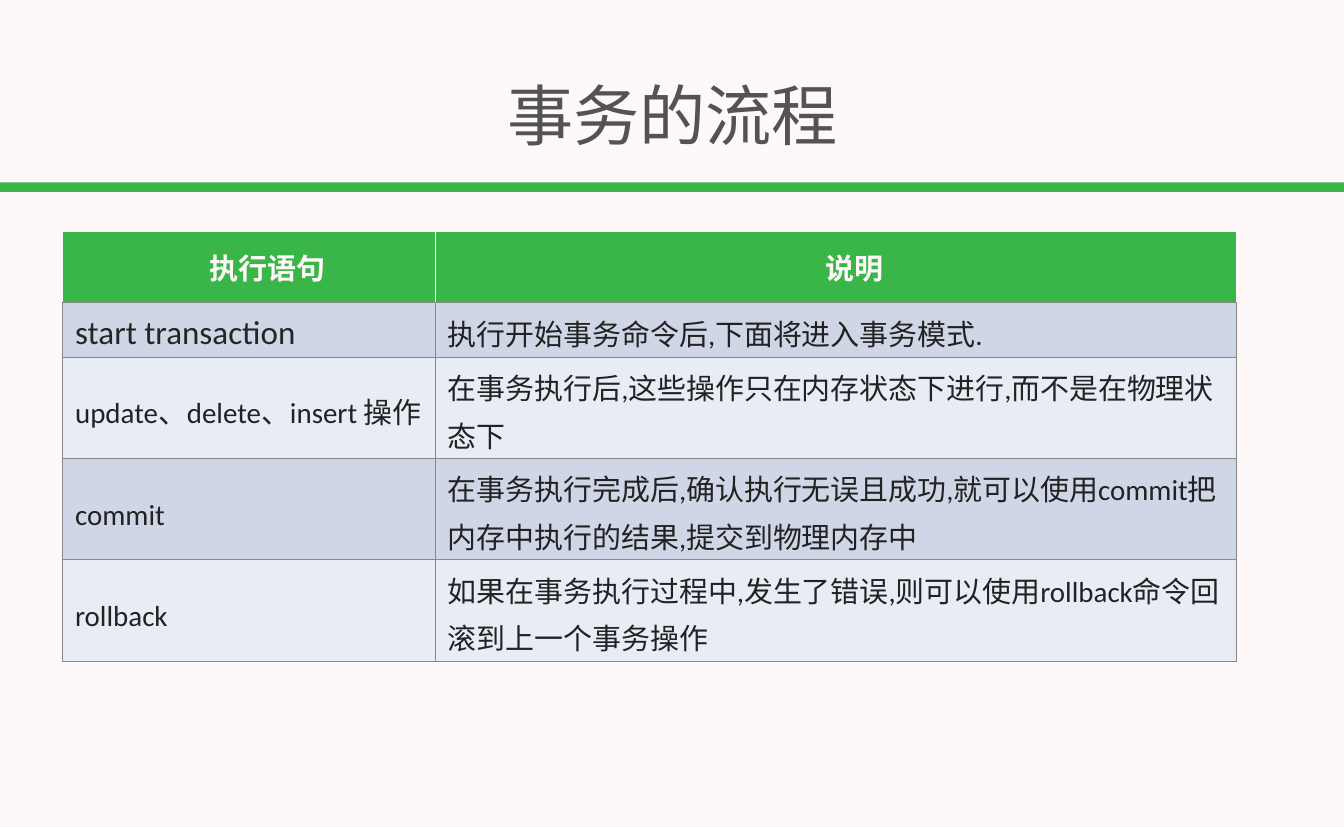
from lxml import etree
from pptx import Presentation
from pptx import util as u
from pptx.dml.color import RGBColor
from pptx.enum import shapes, text
from pptx.oxml import ns

HEADERS = ["执行语句", "说明"]
STATEMENTS = [
    ["start transaction", "执行开始事务命令后,下面将进入事务模式."],
    ["update、delete、insert 操作", "在事务执行后,这些操作只在内存状态下进行,而不是在物理状态下"],
    ["commit", "在事务执行完成后,确认执行无误且成功,就可以使用commit把内存中执行的结果,提交到物理内存中"],
    ["rollback", "如果在事务执行过程中,发生了错误,则可以使用rollback命令回滚到上一个事务操作"],
]
COLUMN_WIDTHS = [5.01, 10.76]
ROW_HEIGHTS = [0.95, 0.74, 1.36, 1.36, 1.36]


def color(value):
    """Turn a hex string into a colour."""
    return RGBColor.from_string(value)


def set_borders(cell, colors):
    """Draw one-point borders in the order left, right, top, bottom."""
    properties = cell._tc.get_or_add_tcPr()
    for index, (side, value) in enumerate(zip("LRTB", colors)):
        line = etree.Element(ns.qn(f"a:ln{side}"), w=str(u.Pt(1)))
        fill = etree.SubElement(line, ns.qn("a:solidFill"))
        etree.SubElement(fill, ns.qn("a:srgbClr"), val=value)
        properties.insert(index, line)


class SlideBuilder:
    """Hold the style and the current slide."""

    font = "Calibri"
    paper, green, header_green = "FFF8F8", "39B747", "39B647"
    title_gray, first_ink, body_ink, grid = "535353", "262626", "222222", "888888"
    bands = ["CFD7E7", "E8ECF4"]

    def __init__(self, presentation):
        """Add a blank slide with the paper background."""
        self.slide = presentation.slides.add_slide(presentation.slide_layouts[6])
        background = self.slide.background.fill
        background.solid()
        background.fore_color.rgb = color(self.paper)

    def add_text(self, paragraph, content, size, ink, bold=False):
        """Add one styled run to a paragraph."""
        run = paragraph.add_run()
        run.text = content
        run.font.name = self.font
        run.font.size = u.Pt(size)
        run.font.bold = bold
        run.font.color.rgb = color(ink)

    def bar(self, left, top, width, height):
        """Add a plain green rectangle."""
        shape = self.slide.shapes.add_shape(
            shapes.MSO_SHAPE.RECTANGLE, *map(u.Inches, (left, top, width, height)))
        shape.shadow.inherit = False
        shape.fill.solid()
        shape.fill.fore_color.rgb = color(self.green)
        shape.line.fill.background()

    def title(self, content, left, top, width, height):
        """Add the centred slide title."""
        box = self.slide.shapes.add_textbox(*map(u.Inches, (left, top, width, height)))
        frame = box.text_frame
        frame.word_wrap = True
        frame.vertical_anchor = text.MSO_ANCHOR.MIDDLE
        paragraph = frame.paragraphs[0]
        paragraph.alignment = text.PP_ALIGN.CENTER
        self.add_text(paragraph, content, 64, self.title_gray)

    def fill_cell(self, cell, fill, margins, borders):
        """Set the fill, margins and borders of a cell; return its paragraph."""
        cell.fill.solid()
        cell.fill.fore_color.rgb = color(fill)
        cell.vertical_anchor = text.MSO_ANCHOR.MIDDLE
        cell.margin_left = cell.margin_right = u.Inches(margins[0])
        cell.margin_top = cell.margin_bottom = u.Inches(margins[1])
        set_borders(cell, borders)
        return cell.text_frame.paragraphs[0]

    def header_cell(self, cell, content):
        """Fill in a white, bold, indented heading on green."""
        borders = [self.paper] * 3 + [self.grid]
        paragraph = self.fill_cell(cell, self.header_green, (0, 0), borders)
        paragraph.alignment = text.PP_ALIGN.CENTER
        paragraph._p.get_or_add_pPr().set("indent", str(u.Inches(0.5)))
        self.add_text(paragraph, content, 28, self.paper, bold=True)

    def body_cell(self, cell, content, band, size, ink):
        """Fill in body text on a banded fill."""
        paragraph = self.fill_cell(cell, band, (0.17, 0.04), [self.grid] * 4)
        paragraph.line_spacing = u.Pt(46)
        self.add_text(paragraph, content, size, ink)

    def table(self, left, top, headers, rows, widths, heights):
        """Add a table with a header row and banded body rows."""
        table = self.slide.shapes.add_table(
            len(heights), len(widths),
            *map(u.Inches, (left, top, sum(widths), sum(heights)))).table
        for column, width in zip(table.columns, widths):
            column.width = u.Inches(width)
        for row, height in zip(table.rows, heights):
            row.height = u.Inches(height)
        for column, content in enumerate(headers):
            self.header_cell(table.cell(0, column), content)
        for index, row in enumerate(rows):
            for column, content in enumerate(row):
                first = index == column == 0
                size, ink = (32, self.first_ink) if first else (28, self.body_ink)
                self.body_cell(table.cell(index + 1, column), content,
                               self.bands[index % 2], size, ink)


def main():
    """Build and save the slide."""
    presentation = Presentation()
    presentation.slide_width = u.Inches(18.06)
    presentation.slide_height = u.Inches(11.11)
    builder = SlideBuilder(presentation)
    builder.bar(-0.01, 2.45, 18.08, 0.13)
    builder.title("事务的流程", 0.05, 0.82, 17.97, 1.42)
    builder.table(0.84, 3.11, HEADERS, STATEMENTS, COLUMN_WIDTHS, ROW_HEIGHTS)
    presentation.save("out.pptx")


main()
